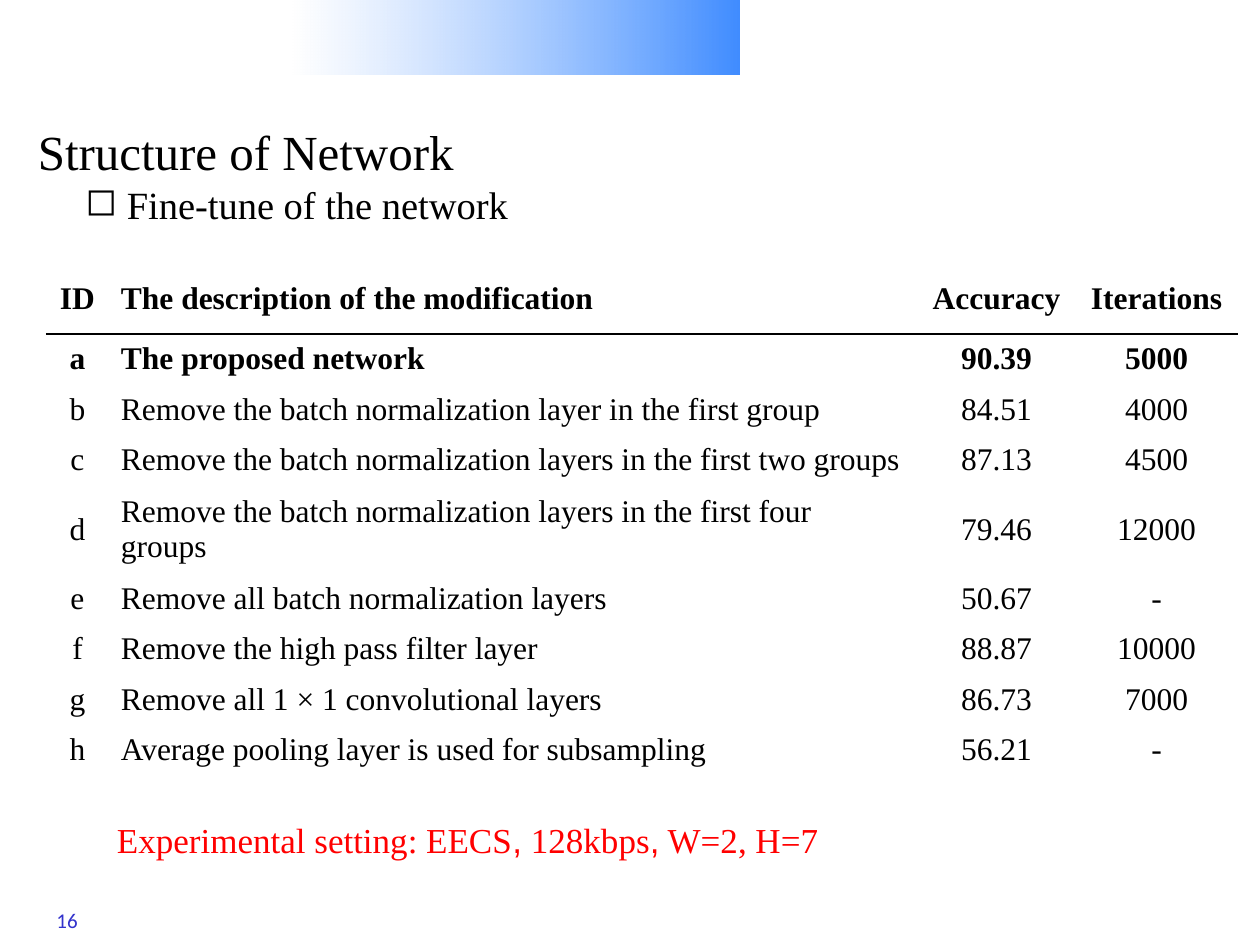
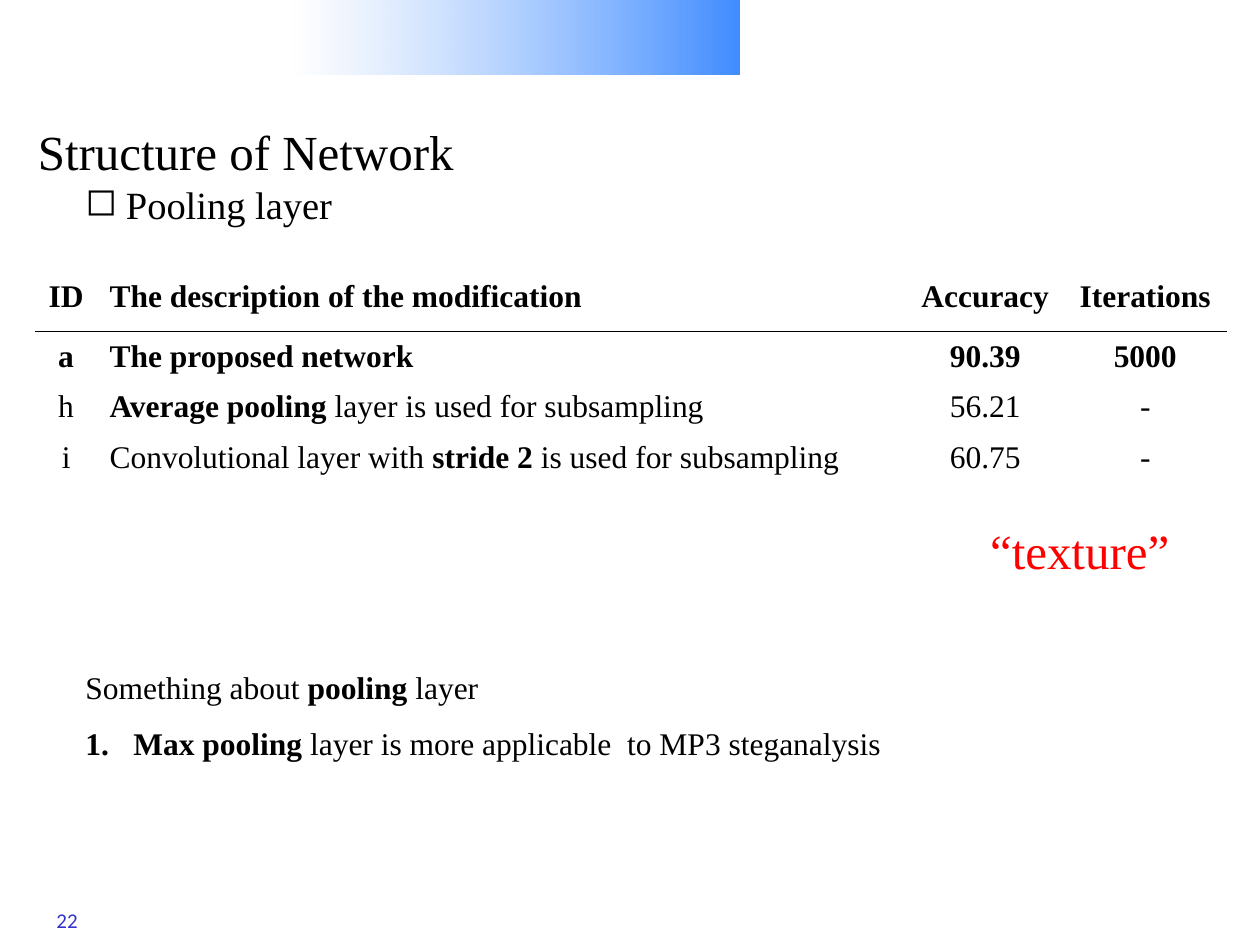
from dataclasses import dataclass
from typing import Optional

from lxml import etree
from pptx import Presentation
from pptx import util as u
from pptx.dml import color
from pptx.enum import shapes, text
from pptx.oxml import ns

COLORS = {
    "paper": "FFFFFF",
    "ink": "000000",
    "accent": "FF0000",
    "band": "0066FF",
    "number": "3333CC",
}
SERIF = "Times New Roman"
COLUMN_WIDTHS = (0.49, 6.42, 1.26, 1.28)
COLUMN_ALIGNMENTS = (
    text.PP_ALIGN.CENTER,
    text.PP_ALIGN.LEFT,
    text.PP_ALIGN.CENTER,
    text.PP_ALIGN.CENTER,
)
HEADER_HEIGHT = 0.55
ROW_HEIGHT = 0.39
HEADER = ("ID", "The description of the modification", "Accuracy", "Iterations")
PROPOSED = ("a", "The proposed network", "90.39", "5000")


@dataclass(frozen=True)
class Run:
    text: str
    bold: bool = False
    font: str = SERIF


@dataclass(frozen=True)
class Line:
    runs: tuple
    bullet: Optional[tuple] = None
    hanging: float = 0
    spacing: Optional[float] = None


@dataclass(frozen=True)
class Note:
    box: tuple
    lines: tuple
    size: float
    color: str = "ink"
    wrap: bool = True


@dataclass(frozen=True)
class ResultSlide:
    number: str
    topic: tuple
    table_origin: tuple
    rows: tuple
    notes: tuple


RESULT_SLIDES = (
    ResultSlide(
        "16",
        (Run(" Fine-tune of the network"),),
        (0.37, 2.1),
        (
            ("b", "Remove the batch normalization layer in the first group", "84.51", "4000"),
            ("c", "Remove the batch normalization layers in the first two groups", "87.13", "4500"),
            ("d", "Remove the batch normalization layers in the first four groups", "79.46", "12000"),
            ("e", "Remove all batch normalization layers", "50.67", "-"),
            ("f", "Remove the high pass filter layer", "88.87", "10000"),
            ("g", "Remove all 1 × 1 convolutional layers", "86.73", "7000"),
            ("h", "Average pooling layer is used for subsampling", "56.21", "-"),
        ),
        (
            Note(
                (0.83, 6.45, 5.79, 0.44),
                (Line((
                    Run("Experimental setting: EECS"),
                    Run(",", font="Arial"),
                    Run(" 128kbps"),
                    Run(",", font="Arial"),
                    Run(" W=2, H=7"),
                )),),
                20, "accent", False,
            ),
        ),
    ),
    ResultSlide(
        "22",
        (Run(" ", font="Calibri"), Run("Pooling layer")),
        (0.28, 2.08),
        (
            ("h", (Run("Average pooling", True), Run(" layer is used for subsampling")), "56.21", "-"),
            (
                "i",
                (Run("Convolutional layer with "), Run("stride 2", True), Run(" is used for subsampling")),
                "60.75",
                "-",
            ),
        ),
        (
            Note(
                (0.58, 5.25, 7.42, 0.86),
                (
                    Line((Run("Something about "), Run("pooling", True), Run(" layer"))),
                    Line(
                        (Run("Max pooling", True), Run(" layer is more applicable  to MP3 steganalysis")),
                        ("a:buAutoNum", {"type": "arabicPeriod"}), 0.38, 1.5,
                    ),
                ),
                18,
            ),
            Note((7.76, 4.08, 1.64, 0.57), (Line((Run("“texture”"),)),), 28, "accent", False),
        ),
    ),
)


def rgb(name: str) -> color.RGBColor:
    return color.RGBColor.from_string(COLORS[name])


def inches(values: tuple) -> list:
    return [u.Inches(value) for value in values]


def set_attributes(target, values: dict) -> None:
    for name, value in values.items():
        setattr(target, name, value)


def write_line(paragraph, line: Line, size: float, color_name: str) -> None:
    if line.spacing:
        paragraph.line_spacing = line.spacing
    if line.bullet:
        tag, attributes = line.bullet
        properties = paragraph._p.get_or_add_pPr()
        properties.set("marL", str(u.Inches(line.hanging)))
        properties.set("indent", str(-u.Inches(line.hanging)))
        etree.SubElement(properties, ns.qn(tag), attributes)
    for part in line.runs:
        run = paragraph.add_run()
        run.text = part.text
        set_attributes(run.font, {"name": part.font, "size": u.Pt(size), "bold": part.bold})
        run.font.color.rgb = rgb(color_name)


def add_note(slide, note: Note) -> None:
    frame = slide.shapes.add_textbox(*inches(note.box)).text_frame
    set_attributes(frame, {"word_wrap": note.wrap, "auto_size": text.MSO_AUTO_SIZE.SHAPE_TO_FIT_TEXT})
    for index, line in enumerate(note.lines):
        paragraph = frame.add_paragraph() if index else frame.paragraphs[0]
        write_line(paragraph, line, note.size, note.color)


def add_band(slide) -> None:
    band = slide.shapes.add_shape(shapes.MSO_SHAPE.RECTANGLE, *inches((2.32, 0, 3.55, 0.59)))
    band.shadow.inherit = False
    band.line.fill.background()
    band.fill.gradient()
    band.fill.gradient_angle = 0
    for stop, position, name, alpha in zip(band.fill.gradient_stops, (0, 1), ("paper", "band"), (48, 75)):
        stop.position = position
        stop.color.rgb = rgb(name)
        value = stop._gs.find(ns.qn("a:srgbClr"))
        etree.SubElement(value, ns.qn("a:alpha"), val=str(alpha * 1000))


def format_title(slide) -> None:
    title = slide.shapes.title
    left, top, width, height = inches((0.2, 0.85, 9.8, 0.69))
    set_attributes(title, {"left": left, "top": top, "width": width, "height": height})
    set_attributes(title.text_frame, {
        "auto_size": text.MSO_AUTO_SIZE.NONE,
        "word_wrap": True,
        "vertical_anchor": text.MSO_ANCHOR.MIDDLE,
    })
    paragraph = title.text_frame.paragraphs[0]
    paragraph.alignment = text.PP_ALIGN.LEFT
    write_line(paragraph, Line((Run("Structure of Network"),)), 28, "ink")


def add_borders(cell, top: str, bottom: str) -> None:
    properties = cell._tc.get_or_add_tcPr()
    for side, name in {"L": "paper", "R": "paper", "T": top, "B": bottom}.items():
        border = etree.SubElement(properties, ns.qn(f"a:ln{side}"), w=str(u.Pt(1)))
        fill = etree.SubElement(border, ns.qn("a:solidFill"))
        etree.SubElement(fill, ns.qn("a:srgbClr"), val=COLORS[name])


def add_results(slide, origin: tuple, rows: tuple) -> None:
    rows = (HEADER, PROPOSED) + rows
    heights = [HEADER_HEIGHT] + [ROW_HEIGHT] * (len(rows) - 1)
    size = (sum(COLUMN_WIDTHS), sum(heights))
    table = slide.shapes.add_table(len(rows), len(HEADER), *inches(origin + size)).table
    set_attributes(table, {"first_row": False, "horz_banding": False})
    for column, width in zip(table.columns, COLUMN_WIDTHS):
        column.width = u.Inches(width)
    for row_index, (values, height) in enumerate(zip(rows, heights)):
        table.rows[row_index].height = u.Inches(height)
        for column_index, value in enumerate(values):
            cell = table.cell(row_index, column_index)
            cell.vertical_anchor = text.MSO_ANCHOR.MIDDLE
            add_borders(
                cell,
                "ink" if row_index == 1 else "paper",
                "ink" if row_index == 0 else "paper",
            )
            cell.fill.background()
            runs = (Run(value, row_index < 2),) if isinstance(value, str) else value
            paragraph = cell.text_frame.paragraphs[0]
            paragraph.alignment = COLUMN_ALIGNMENTS[column_index]
            write_line(paragraph, Line(runs), 18, "ink")


def add_result_slide(presentation, content: ResultSlide) -> None:
    slide = presentation.slides.add_slide(presentation.slide_layouts[5])
    add_band(slide)
    format_title(slide)
    number = Line((Run(content.number, font="Calibri"),))
    add_note(slide, Note((0.35, 7.15, 0.47, 0.3), (number,), 12, "number"))
    topic = Line(content.topic, ("a:buChar", {"char": "◻"}), 0.19)
    add_note(slide, Note((0.58, 1.39, 8.44, 0.47), (topic,), 22))
    add_results(slide, content.table_origin, content.rows)
    for note in content.notes:
        add_note(slide, note)


def main() -> None:
    presentation = Presentation()
    set_attributes(presentation, {"slide_width": u.Inches(10), "slide_height": u.Inches(7.5)})
    for content in RESULT_SLIDES:
        add_result_slide(presentation, content)
    presentation.save("out.pptx")


if __name__ == "__main__":
    main()
